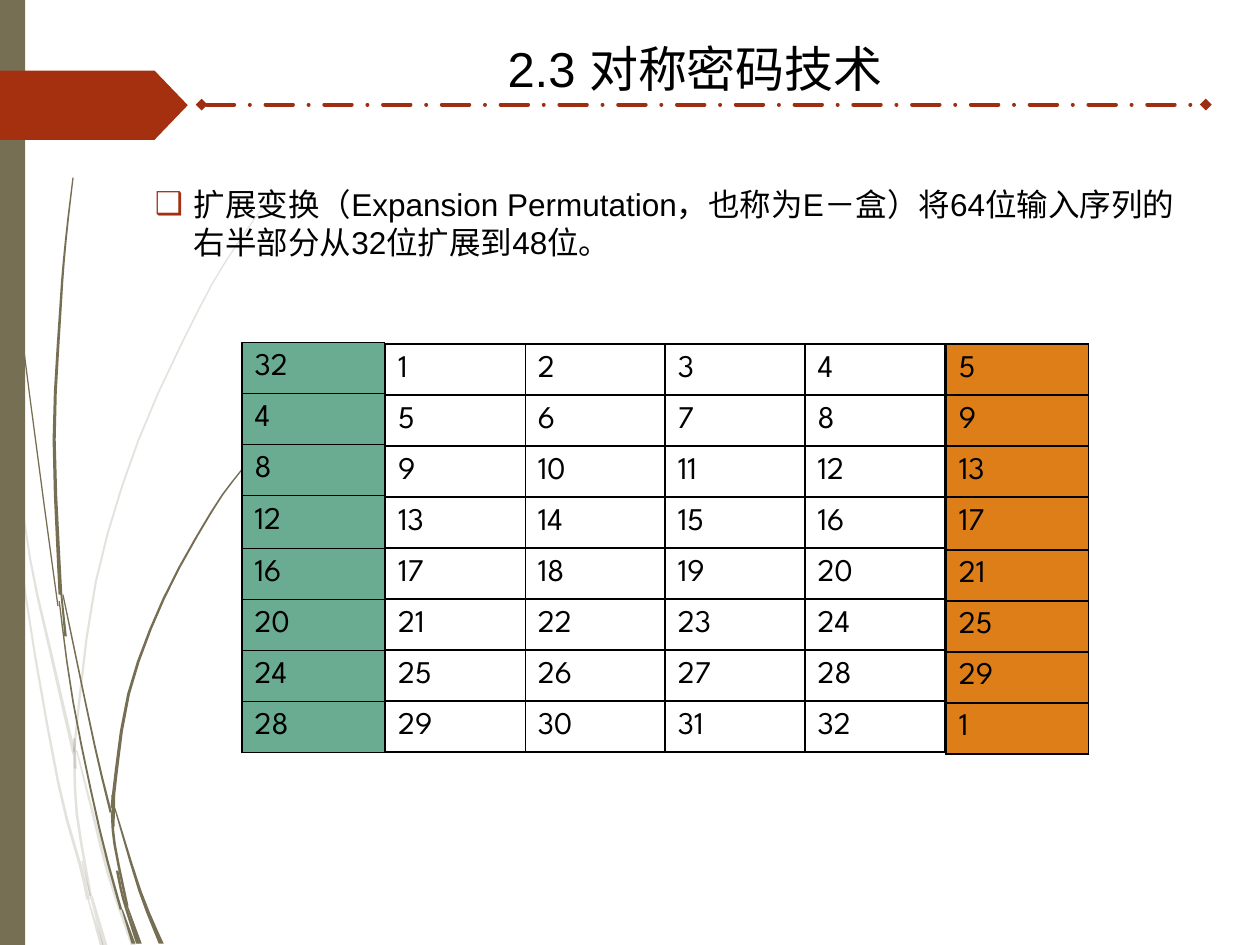
from lxml.etree import SubElement
from pptx import Presentation
from pptx.dml.color import RGBColor
from pptx.enum.dml import MSO_LINE_DASH_STYLE as Dash
from pptx.enum.shapes import MSO_CONNECTOR as Connector, MSO_SHAPE as Shape
from pptx.enum.text import MSO_ANCHOR as Anchor
from pptx.oxml.ns import qn
from pptx.util import Inches, Pt

OLIVE = RGBColor(0x76, 0x6F, 0x54)
RUST = RGBColor(0xA5, 0x30, 0x10)
DARK_RUST = RGBColor(0x9E, 0x2E, 0x0F)
GREEN = RGBColor(0x6A, 0xAC, 0x91)
ORANGE = RGBColor(0xDE, 0x7E, 0x18)
BLACK = RGBColor(0, 0, 0)

BODY_FONT = "Arial"
TABLE_FONT = "League Spartan"
CURVE_STEPS = 3

PALE_BLADES = [
    (0.01, 0.01, [(0, 2.82), (0.03, 3.08), (0.08, 3.5)]),
    (0.01, 0.03, [(0.1, 3.45), (0.24, 4.44), (0.41, 5.21), (0.59, 5.99)]),
    (0.01, 0.04, [(0.61, 5.96), (0.73, 6.43), (0.86, 6.93), (1.06, 7.51)]),
    (0.01, 0.03, [(0.73, 7.11), (0.84, 7.51)]),
    (0.01, 0.03, [(0.08, 3.5), (0.2, 4.7), (0.46, 6.2), (0.64, 6.88), (0.7, 7.14)]),
    (0.02, 0.02, [(0.59, 5.99), (0.61, 6.46), (0.72, 7.11)]),
    (0.01, 0.02, [(2.17, 1.53), (1.86, 1.97), (1.58, 2.45), (1.1, 3.49),
                  (0.76, 4.62), (0.6, 5.84), (0.6, 5.96)]),
    (0.01, 0.03, [(0.7, 7.14), (0.81, 7.51)]),
    (0.02, 0.02, [(0.59, 5.86), (0.6, 6.1)]),
    (0.01, 0.01, [(0.65, 6.83), (0.69, 7), (0.82, 7.51)]),
]
DARK_BLADES = [
    (0.01, 0.01, [(0.02, 0), (0.04, 0.48), (0.06, 1.1), (0.14, 2.33), (0.29, 3.55),
                  (0.46, 4.81)]),
    (0.01, 0.02, [(0.5, 4.72), (0.75, 5.91), (0.88, 6.45)]),
    (0.01, 0.04, [(0.91, 6.41), (1.11, 7.07), (1.28, 7.49)]),
    (0.01, 0.02, [(0.47, 4.77), (0.58, 5.57), (0.79, 6.58), (0.96, 7.22)]),
    (0.01, 0.03, [(0.58, 1.41), (0.52, 1.93), (0.48, 2.45), (0.43, 3.49), (0.48, 4.72)]),
    (0.01, 0.03, [(1.01, 7.19), (1.11, 7.49)]),
    (0.01, 0.02, [(0.46, 4.49), (0.49, 4.75), (0.52, 5.05)]),
    (0.01, 0.03, [(2.16, 3.44), (1.91, 3.74), (1.68, 4.06), (1.3, 4.75), (1.02, 5.51),
                  (0.9, 6.32), (0.9, 6.41)]),
    (0.01, 0.03, [(0.97, 7.22), (1.06, 7.49)]),
    (0.02, 0.02, [(0.89, 6.45), (0.91, 6.7), (1.01, 7.19)]),
    (0.03, 0.02, [(0.9, 6.31), (0.9, 6.56)]),
    (0.02, 0.02, [(0.93, 6.91), (0.98, 7.14), (1.09, 7.49)]),
]


def smooth_curve(points):
    if len(points) == 2:
        return points
    padded = [points[0], *points, points[-1]]
    curve = []
    for a, b, c, d in zip(padded, padded[1:], padded[2:], padded[3:]):
        for step in range(CURVE_STEPS):
            t = step / CURVE_STEPS
            curve.append(tuple(
                q + t * (r - p) / 2 + t ** 2 * (2 * p - 5 * q + 4 * r - s) / 2
                + t ** 3 * (3 * q - p - 3 * r + s) / 2
                for p, q, r, s in zip(a, b, c, d)))
    return curve + [points[-1]]


def paint(shape, color, opacity=100):
    shape.shadow.inherit = False
    shape.fill.solid()
    shape.fill.fore_color.rgb = color
    shape.line.fill.background()
    if opacity < 100:
        shade = shape._element.spPr.find(qn("a:solidFill"))[0]
        SubElement(shade, qn("a:alpha"), val=str(opacity * 1000))


def add_blade(page, start_width, end_width, points, opacity):
    curve = smooth_curve(points)
    left_edge, right_edge = [], []
    for index, (x, y) in enumerate(curve):
        share = index / (len(curve) - 1)
        half = (start_width + (end_width - start_width) * share) / 2
        left_edge.append((Inches(x - half), Inches(y)))
        right_edge.append((Inches(x + half), Inches(y)))
    outline = left_edge + right_edge[::-1]
    builder = page.shapes.build_freeform(*outline[0], scale=1.0)
    builder.add_line_segments(outline[1:], close=True)
    paint(builder.convert_to_shape(), OLIVE, opacity)


def add_backdrop(page):
    for blades, opacity in ((PALE_BLADES, 20), (DARK_BLADES, 100)):
        for blade in blades:
            add_blade(page, *blade, opacity)
    side_bar = page.shapes.add_shape(Shape.RECTANGLE, 0, 0, Inches(0.2), Inches(7.5))
    paint(side_bar, OLIVE)
    tag = page.shapes.add_shape(Shape.PENTAGON, 0, Inches(0.56), Inches(1.49), Inches(0.55))
    tag.adjustments[0] = 0.48
    paint(tag, RUST)


def add_divider(page, left, top, width):
    divider = page.shapes.add_connector(
        Connector.STRAIGHT, left, top, left + width, top)
    divider.line.color.rgb = DARK_RUST
    divider.line.width = Pt(2.25)
    divider.line.dash_style = Dash.LONG_DASH_DOT
    line = divider.line._get_or_add_ln()
    line.set("cap", "rnd")
    for end in ("a:headEnd", "a:tailEnd"):
        SubElement(line, qn(end), type="diamond")
    SubElement(divider._element.spPr, qn("a:effectLst"))


def add_span(para, text, size, font):
    span = para.add_run()
    span.text = text
    span.font.size = Pt(size)
    span.font.name = font
    span.font.color.rgb = BLACK


def add_text(page, left, top, width, height, text, size, wrap):
    box = page.shapes.add_textbox(left, top, width, height)
    box.text_frame.word_wrap = wrap
    para = box.text_frame.paragraphs[0]
    add_span(para, text, size, BODY_FONT)
    return para


def add_bullet(para, symbol, color, indent):
    properties = para._p.get_or_add_pPr()
    properties.set("marL", str(indent))
    properties.set("indent", str(-indent))
    bullet_color = SubElement(properties, qn("a:buClr"))
    SubElement(bullet_color, qn("a:srgbClr"), val=str(color))
    SubElement(properties, qn("a:buFont"), typeface=BODY_FONT)
    SubElement(properties, qn("a:buChar"), char=symbol)


def add_borders(cell):
    properties = cell._tc.get_or_add_tcPr()
    for position, side in enumerate(("a:lnL", "a:lnR", "a:lnT", "a:lnB")):
        border = properties.makeelement(qn(side), {"w": str(Pt(1))})
        fill = SubElement(border, qn("a:solidFill"))
        SubElement(fill, qn("a:srgbClr"), val=str(BLACK))
        properties.insert(position, border)


def add_number_table(page, left, top, width, row_heights, rows, color=None):
    frame = page.shapes.add_table(
        len(rows), len(rows[0]), left, top, width, sum(row_heights))
    table = frame.table
    table.first_row = table.horz_banding = False
    for row, height, numbers in zip(table.rows, row_heights, rows):
        row.height = height
        for cell, number in zip(row.cells, numbers):
            cell.vertical_anchor = Anchor.MIDDLE
            if color is None:
                cell.fill.background()
            else:
                cell.fill.solid()
                cell.fill.fore_color.rgb = color
            add_borders(cell)
            add_span(cell.text_frame.paragraphs[0], str(number), 18, TABLE_FONT)


def add_expansion_box(page, left, top):
    starts = range(1, 33, 4)
    middle = [[start + offset for offset in range(4)] for start in starts]
    before = [[(start - 2) % 32 + 1] for start in starts]
    after = [[(start + 3) % 32 + 1] for start in starts]
    row_height = Inches(3.24) // 8
    side_heights = [Inches(0.42) if row == 3 else row_height for row in range(8)]
    side_width = Inches(1.13)
    add_number_table(page, left + Inches(1.14), top + Inches(0.01), Inches(4.44),
                     [row_height] * 8, middle)
    add_number_table(page, left, top, side_width, side_heights, before, GREEN)
    add_number_table(page, left + Inches(5.59), top + Inches(0.01), side_width,
                     side_heights, after, ORANGE)


def main():
    deck = Presentation()
    deck.slide_width, deck.slide_height = Inches(10), Inches(7.5)
    page = deck.slides.add_slide(deck.slide_layouts[6])
    add_backdrop(page)
    add_divider(page, Inches(1.6), Inches(0.83), Inches(7.97))
    summary = add_text(
        page, Inches(1.13), Inches(1.42), Inches(8.42), Inches(0.71),
        "扩展变换（Expansion Permutation，也称为E－盒）将64位输入序列的右半部分从32位扩展到48位。",
        18, True)
    add_bullet(summary, "❑", RUST, Inches(0.31))
    add_text(page, Inches(3.93), Inches(0.26), Inches(3.34), Inches(0.57),
             "2.3 对称密码技术", 28, False)
    add_expansion_box(page, Inches(1.92), Inches(2.72))
    deck.save("out.pptx")


if __name__ == "__main__":
    main()
